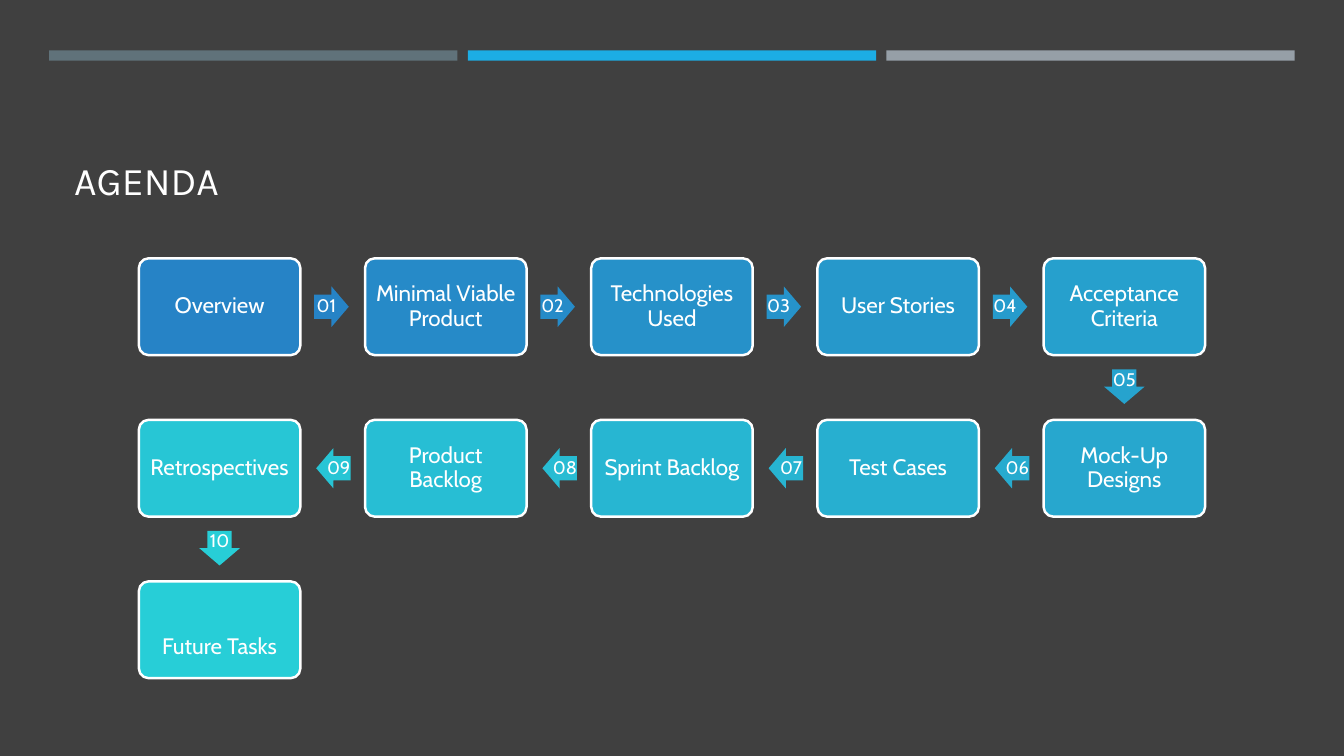
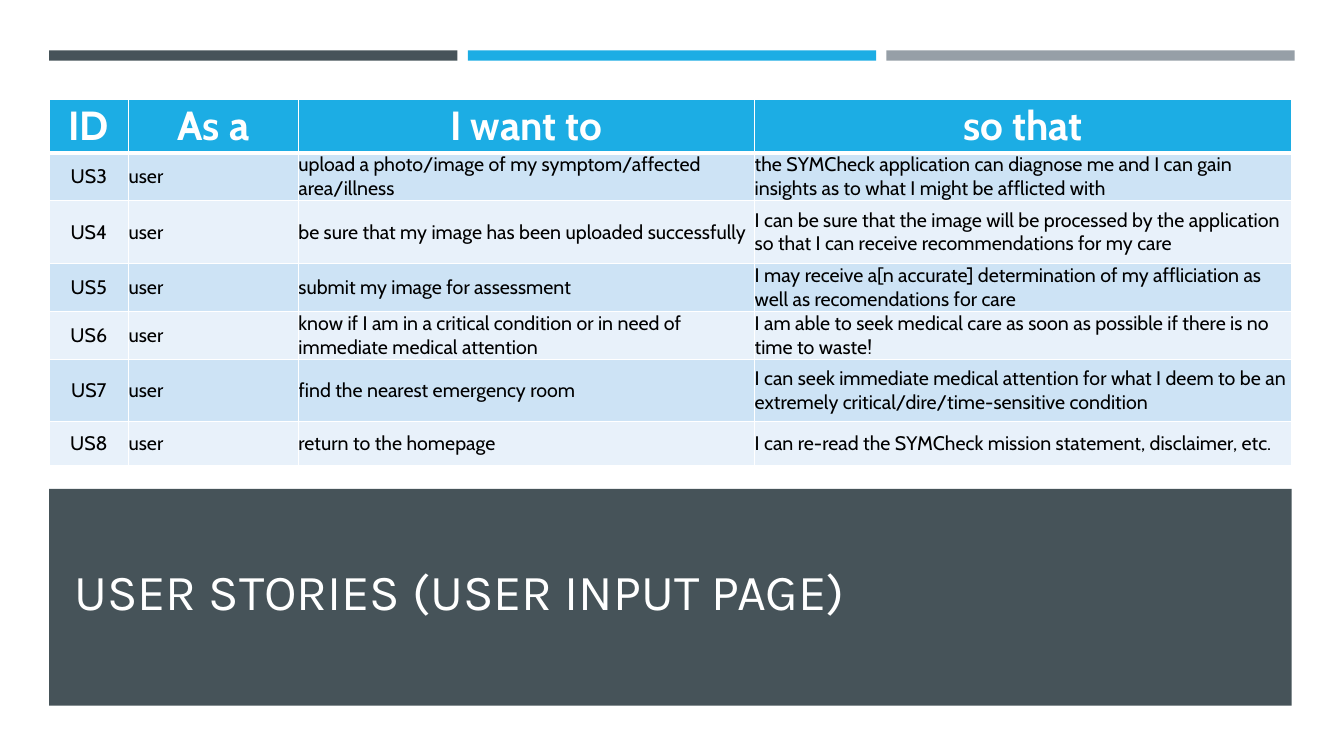
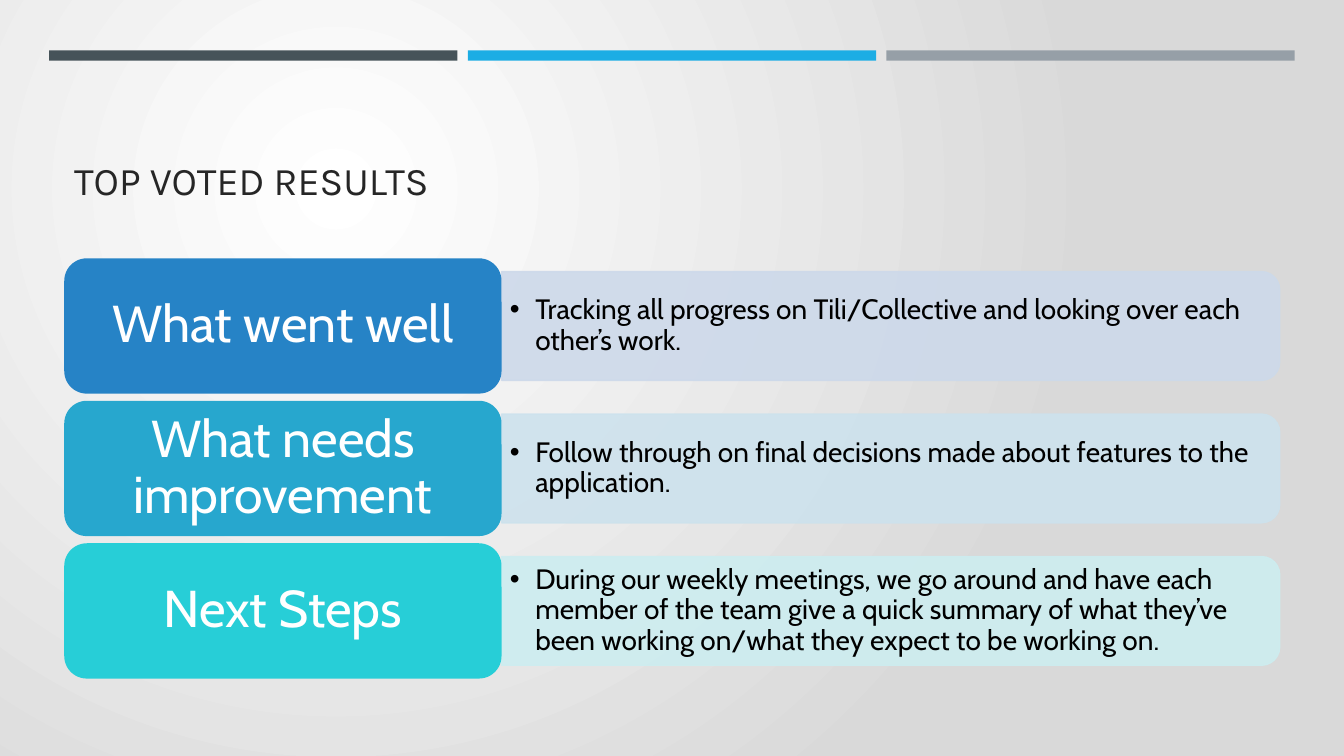
from lxml import etree
from pptx import Presentation
from pptx.dml.color import RGBColor
from pptx.enum.shapes import MSO_SHAPE, MSO_SHAPE_TYPE
from pptx.enum.text import MSO_ANCHOR, PP_ALIGN
from pptx.oxml.ns import qn
from pptx.util import Cm, Pt

RECT, ROUND_RECT = MSO_SHAPE.RECTANGLE, MSO_SHAPE.ROUNDED_RECTANGLE
ROUND_TOP = MSO_SHAPE.ROUND_2_SAME_RECTANGLE
RIGHT, LEFT, DOWN = MSO_SHAPE.RIGHT_ARROW, MSO_SHAPE.LEFT_ARROW, MSO_SHAPE.DOWN_ARROW
AT_LEFT, CENTER = PP_ALIGN.LEFT, PP_ALIGN.CENTER
MIDDLE, BOTTOM = MSO_ANCHOR.MIDDLE, MSO_ANCHOR.BOTTOM

WHITE, BLACK, CHARCOAL, INK = "FFFFFF", "000000", "404040", "262626"
SLATE, PALE_SLATE, SKY, GREY = "465359", "60727A", "1CADE4", "969FA7"
BODY_FONT, TITLE_FONT = "Cabin", "Karla"
MARGIN = 1.24


def paint(fill, color):
    fill.solid()
    fill.fore_color.rgb = RGBColor.from_string(color)


def write(holder, text, size, color=WHITE, font=BODY_FONT, bold=False, align=CENTER,
          anchor=MIDDLE, insets=(0, 0, 0, 0), spacing=None, bullet=False, wrap=True):
    """Put one paragraph in a shape or table cell; insets are left, top, right, bottom in cm."""
    frame = holder.text_frame
    box = holder if hasattr(holder, "margin_left") else frame
    box.margin_left, box.margin_top, box.margin_right, box.margin_bottom = map(Cm, insets)
    box.vertical_anchor = anchor
    frame.word_wrap = wrap
    paragraph = frame.paragraphs[0]
    if bullet:
        properties = paragraph._p.get_or_add_pPr()
        properties.set("marL", str(Cm(0.64)))
        properties.set("indent", str(-Cm(0.64)))
        etree.SubElement(properties, qn("a:buFont")).set("typeface", "Arial")
        etree.SubElement(properties, qn("a:buChar")).set("char", "•")
    paragraph.alignment = align
    paragraph.line_spacing = spacing
    run = paragraph.add_run()
    run.text = text
    run.font.name, run.font.size, run.font.bold = font, Pt(size), bold
    paint(run.font.fill, color)


prs = Presentation()
prs.slide_width, prs.slide_height = Cm(33.87), Cm(19.05)
agenda, stories, results = [prs.slides.add_slide(prs.slide_layouts[6]) for _ in range(3)]

# Backgrounds
for slide, base, cover_color in ((agenda, BLACK, CHARCOAL), (stories, WHITE, WHITE)):
    paint(slide.background.fill, base)
    cover = slide.shapes.add_shape(RECT, 0, 0, prs.slide_width, prs.slide_height)
    paint(cover.fill, cover_color)

backdrop = results.background.fill
backdrop.gradient()
for stop, color in zip(backdrop.gradient_stops, (WHITE, "D9D9D9")):
    stop.color.rgb = RGBColor.from_string(color)
linear = results.element.find(".//" + qn("a:lin"))
radial = etree.Element(qn("a:path"), path="circle")
etree.SubElement(radial, qn("a:fillToRect"), l="50000", t="50000", r="100000", b="100000")
linear.getparent().replace(linear, radial)

# Bars at the top of every slide
for slide, first_bar in ((agenda, PALE_SLATE), (stories, SLATE), (results, SLATE)):
    for i, color in enumerate((first_bar, SKY, GREY)):
        bar = slide.shapes.add_shape(
            RECT, Cm(MARGIN + 10.55 * i), Cm(1.27), Cm(10.29), Cm(0.26))
        paint(bar.fill, color)

# Agenda: cards run right, then back left, then down
STEPS = [  # topic, card colour, colour of the arrow that follows
    ("Overview", "2683C6", "2683C6"),
    ("Minimal Viable Product", "268AC8", "268BC8"),
    ("Technologies Used", "2691C9", "2693CA"),
    ("User Stories", "2698CB", "269BCC"),
    ("Acceptance Criteria", "26A0CD", "26A3CE"),
    ("Mock-Up Designs", "27A7CE", "27ABCF"),
    ("Test Cases", "27AFD0", "27B4D1"),
    ("Sprint Backlog", "27B6D2", "27BCD3"),
    ("Product Backlog", "27BED4", "27C5D5"),
    ("Retrospectives", "27C6D5", "27CED7"),
    ("Future Tasks", "27CED7", None),
]
PER_ROW = 5
CARD_W, CARD_H, STEP_X, STEP_Y = 4.07, 2.44, 5.7, 4.07
ARROW_LENGTH, ARROW_WIDTH = 0.87, 1.02
for i, (topic, card_color, arrow_color) in enumerate(STEPS):
    row, place = divmod(i, PER_ROW)
    backwards = row % 2 == 1
    column = PER_ROW - 1 - place if backwards else place
    x, y = 3.5 + STEP_X * column, 6.51 + STEP_Y * row
    card = agenda.shapes.add_shape(ROUND_RECT, Cm(x), Cm(y), Cm(CARD_W), Cm(CARD_H))
    card.adjustments[0] = 0.1
    paint(card.fill, card_color)
    paint(card.line.fill, WHITE)
    card.line.width = Pt(1.75)
    top_inset = 1.04 if topic == "Future Tasks" else 0.18
    write(card, topic, 16, spacing=0.9, insets=(0.18, top_inset, 0.18, 0.18))
    if arrow_color is None:
        continue

    arrow_w, arrow_h = ARROW_LENGTH, ARROW_WIDTH
    arrow_y = y + (CARD_H - ARROW_WIDTH) / 2
    insets = (0, 0, 0, 0)
    if place == PER_ROW - 1:
        preset, insets = DOWN, (0, 0, 0, 0.06)
        arrow_w, arrow_h = ARROW_WIDTH, ARROW_LENGTH
        arrow_x, arrow_y = x + (CARD_W - ARROW_WIDTH) / 2, y + 2.8
    elif backwards:
        preset, arrow_x = LEFT, x - STEP_X + 4.47
    else:
        preset, arrow_x = RIGHT, x + 4.42
    arrow = agenda.shapes.add_shape(
        preset, Cm(arrow_x), Cm(arrow_y), Cm(arrow_w), Cm(arrow_h))
    arrow.adjustments[0], arrow.adjustments[1] = 0.6, 0.5
    paint(arrow.fill, arrow_color)
    write(arrow, f"{i + 1:02}", 13, spacing=0.9, insets=insets, wrap=False)

# User stories
STORIES = [
    ("ID", "As a", "I want to", "so that"),
    ("US3", "user", "upload a photo/image of my symptom/affected area/illness",
     "the SYMCheck application can diagnose me and I can gain insights as to what I might "
     "be afflicted with"),
    ("US4", "user", "be sure that my image has been uploaded successfully",
     "I can be sure that the image will be processed by the application so that I can "
     "receive recommendations for my care"),
    ("US5", "user", "submit my image for assessment",
     "I may receive a[n accurate] determination of my affliciation as well as "
     "recomendations for care"),
    ("US6", "user",
     "know if I am in a critical condition or in need of immediate medical attention",
     "I am able to seek medical care as soon as possible if there is no time to waste!"),
    ("US7", "user", "find the nearest emergency room",
     "I can seek immediate medical attention for what I deem to be an extremely "
     "critical/dire/time-sensitive condition"),
    ("US8", "user", "return to the homepage",
     "I can re-read the SYMCheck mission statement, disclaimer, etc."),
]
COLUMN_WIDTHS = (2.0, 4.28, 11.5, 13.53)
ROW_HEIGHTS = (1.34, 1.21, 1.57, 1.21, 1.22, 1.57, 1.09)
table = stories.shapes.add_table(
    len(STORIES), len(COLUMN_WIDTHS), Cm(MARGIN), Cm(2.51),
    Cm(sum(COLUMN_WIDTHS)), Cm(sum(ROW_HEIGHTS))).table
for column, width in zip(table.columns, COLUMN_WIDTHS):
    column.width = Cm(width)
for r, (story, height) in enumerate(zip(STORIES, ROW_HEIGHTS)):
    table.rows[r].height = Cm(height)
    header = r == 0
    for c, text in enumerate(story):
        cell = table.cell(r, c)
        write(cell, text, 29 if header else 14, WHITE if header else BLACK, bold=header,
              align=CENTER if header or c == 0 else AT_LEFT)
        paint(cell.fill, SKY if header else ("E8F1FA", "CDE3F5")[r % 2])
        edges = {"lnL": 1, "lnR": 1, "lnT": 3 if r == 1 else 1, "lnB": 3 if header else 1}
        for position, (edge, points) in enumerate(edges.items()):
            border = etree.Element(qn(f"a:{edge}"), w=str(Pt(points)))
            solid = etree.SubElement(border, qn("a:solidFill"))
            etree.SubElement(solid, qn("a:srgbClr")).set("val", WHITE)
            cell._tc.get_or_add_tcPr().insert(position, border)

band = stories.shapes.add_shape(RECT, Cm(MARGIN), Cm(12.32), Cm(31.31), Cm(5.46))
paint(band.fill, SLATE)

# Top voted results
OUTCOMES = [
    ("What went well", "2683C6", "CDD9EA",
     "Tracking all progress on Tili/Collective and looking over each other’s work."),
    ("What needs improvement", "27A7CE", "CDE2ED",
     "Follow through on final decisions made about features to the application."),
    ("Next Steps", "27CED7", "CDEDF0",
     "During our weekly meetings, we go around and have each member of the team give a quick "
     "summary of what they’ve been working on/what they expect to be working on."),
]
HEADING_X, HEADING_W, HEADING_H = 1.62, 11.02, 3.41
PANEL_X, PANEL_W, PANEL_H, NOTE_H = HEADING_X + HEADING_W, 19.61, 2.74, 2.46
for i, (heading, heading_color, panel_color, note) in enumerate(OUTCOMES):
    y = 6.51 + 3.59 * i
    middle = y + HEADING_H / 2
    # The panel is drawn upright and turned, so its rounded top faces right
    panel = results.shapes.add_shape(
        ROUND_TOP, Cm(PANEL_X + (PANEL_W - PANEL_H) / 2), Cm(middle - PANEL_W / 2),
        Cm(PANEL_H), Cm(PANEL_W))
    panel.rotation = 90
    paint(panel.fill, panel_color)
    paint(panel.line.fill, panel_color)
    panel.line.width = Pt(1)
    for tint in panel._element.spPr.iter(qn("a:srgbClr")):
        etree.SubElement(tint, qn("a:alpha")).set("val", "90000")
    note_box = results.shapes.add_textbox(
        Cm(PANEL_X), Cm(middle - NOTE_H / 2), Cm(19.48), Cm(NOTE_H))
    write(note_box, note, 20, BLACK, align=AT_LEFT, spacing=0.9, bullet=True,
          insets=(0.21, 0.1, 0.2, 0.1))
    heading_card = results.shapes.add_shape(
        ROUND_RECT, Cm(HEADING_X), Cm(y), Cm(HEADING_W), Cm(HEADING_H))
    paint(heading_card.fill, heading_color)
    write(heading_card, heading, 37, spacing=0.9, insets=(0.38, 0.2, 0.38, 0.2))

# Titles
for slide, title, size, color, top, height in (
        (agenda, "AGENDA", 28, WHITE, 1.96, 3.3),
        (stories, "USER STORIES (USER INPUT PAGE)", 36, WHITE, 12.8, 2.97),
        (results, "TOP VOTED RESULTS", 28, INK, 1.96, 3.3)):
    title_box = slide.shapes.add_textbox(Cm(1.62), Cm(top), Cm(30.6), Cm(height))
    write(title_box, title, size, color, font=TITLE_FONT, align=AT_LEFT, anchor=BOTTOM,
          insets=(0.25, 0.13, 0.25, 0.13))

# No shadows, and no outline where none was chosen
for slide in prs.slides:
    for shape in slide.shapes:
        if shape.shape_type == MSO_SHAPE_TYPE.AUTO_SHAPE:
            shape.shadow.inherit = False
            if shape.line.fill.type is None:
                shape.line.fill.background()

prs.save("out.pptx")
